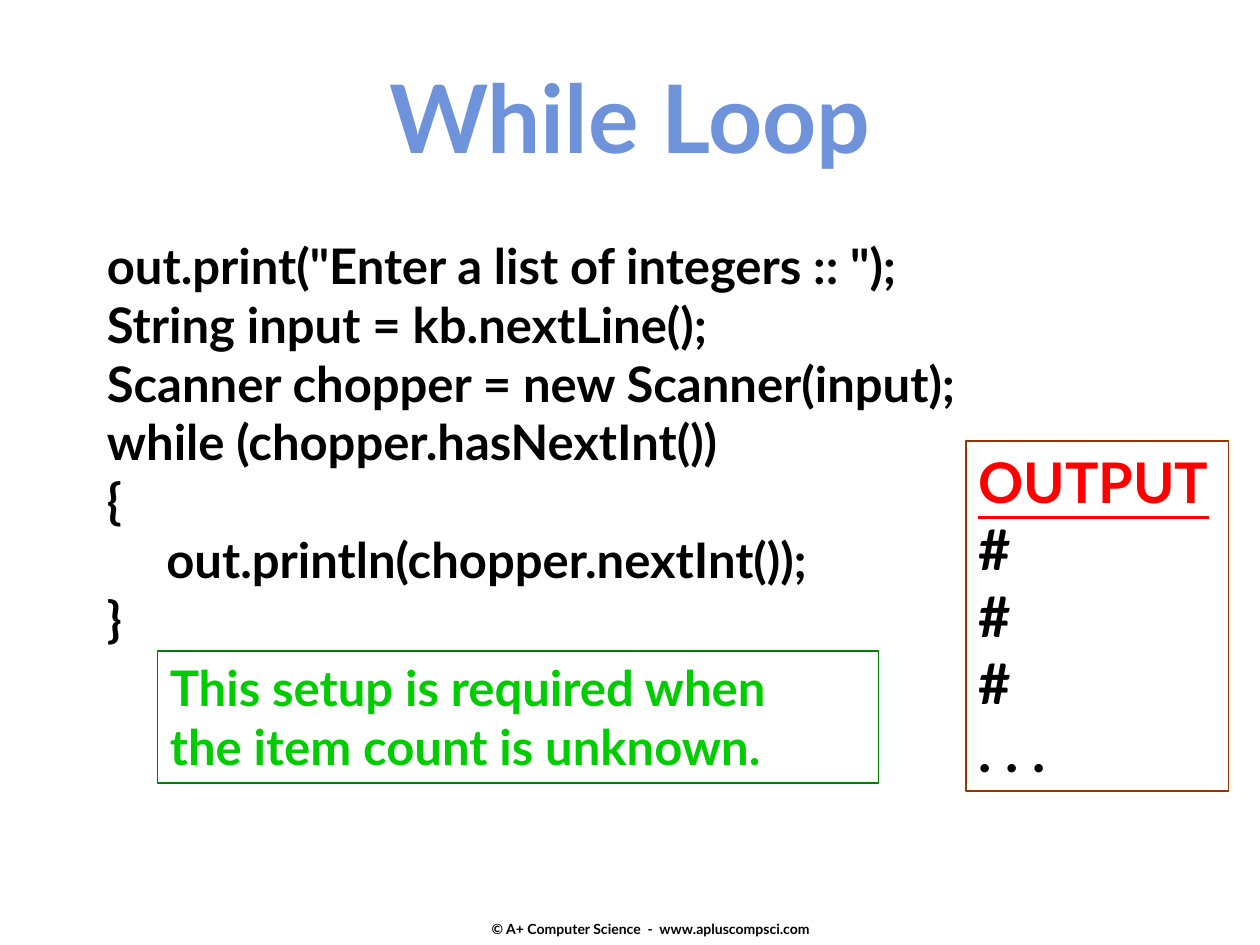
from pptx import Presentation
from pptx.dml.color import RGBColor
from pptx.enum.shapes import MSO_SHAPE
from pptx.enum.text import MSO_ANCHOR, MSO_AUTO_SIZE, PP_ALIGN
from pptx.util import Pt

FONT = "Lato"
BLACK = "000000"
CODE = """out.print("Enter a list of integers :: ");
String input = kb.nextLine();
Scanner chopper = new Scanner(input);
while (chopper.hasNextInt())
{
     out.println(chopper.nextInt());
}"""


def color(hex_string):
    return RGBColor.from_string(hex_string)


def fill_text(shape, text, size, hex_color, align=PP_ALIGN.LEFT,
              anchor=MSO_ANCHOR.TOP, wrap=True):
    """Write one paragraph per line in a single bold style."""
    frame = shape.text_frame
    frame.text = text
    frame.word_wrap = wrap
    frame.auto_size = MSO_AUTO_SIZE.NONE
    frame.vertical_anchor = anchor
    for paragraph in frame.paragraphs:
        paragraph.alignment = align
        for run in paragraph.runs:
            run.font.name = FONT
            run.font.size = Pt(size)
            run.font.bold = True
            run.font.color.rgb = color(hex_color)


def add_frame(slide, box, line_color):
    """Add an unfilled rectangle with a thin outline."""
    shape = slide.shapes.add_shape(MSO_SHAPE.RECTANGLE, *map(Pt, box))
    shape.shadow.inherit = False
    shape.fill.background()
    shape.line.color.rgb = color(line_color)
    shape.line.width = Pt(1)
    return shape


def place_title(slide, box):
    title = slide.shapes.title
    title.left, title.top, title.width, title.height = map(Pt, box)
    fill_text(title, "While Loop", 54, "6F93DB", PP_ALIGN.CENTER)


def add_code(slide, box):
    fill_text(slide.shapes.add_textbox(*map(Pt, box)), CODE, 28, BLACK)


def add_output(slide, box):
    shape = add_frame(slide, box, "993300")
    fill_text(shape, "OUTPUT\n#\n#\n#\n. . .", 32, BLACK)
    heading = shape.text_frame.paragraphs[0].runs[0].font
    heading.underline = True
    heading.color.rgb = color("FF0000")


def add_note(slide, box):
    shape = add_frame(slide, box, "008000")
    fill_text(shape, "This setup is required when\nthe item count is unknown.",
              28, "00CC00", wrap=False)


def add_footer(slide, box):
    fill_text(slide.shapes.add_textbox(*map(Pt, box)),
              "© A+ Computer Science  -  www.apluscompsci.com",
              8, BLACK, PP_ALIGN.CENTER, MSO_ANCHOR.MIDDLE, wrap=False)


def main():
    presentation = Presentation()
    presentation.slide_width, presentation.slide_height = Pt(720), Pt(540)
    slide = presentation.slides.add_slide(presentation.slide_layouts[5])

    # Boxes are left, top, width, height in points
    add_footer(slide, (258, 522, 228, 18))
    add_code(slide, (54, 131, 594, 276))
    add_output(slide, (552, 252, 150, 200))
    add_note(slide, (90, 372, 412, 75.6))
    place_title(slide, (0, 30, 720, 73))

    presentation.save("out.pptx")


if __name__ == "__main__":
    main()
